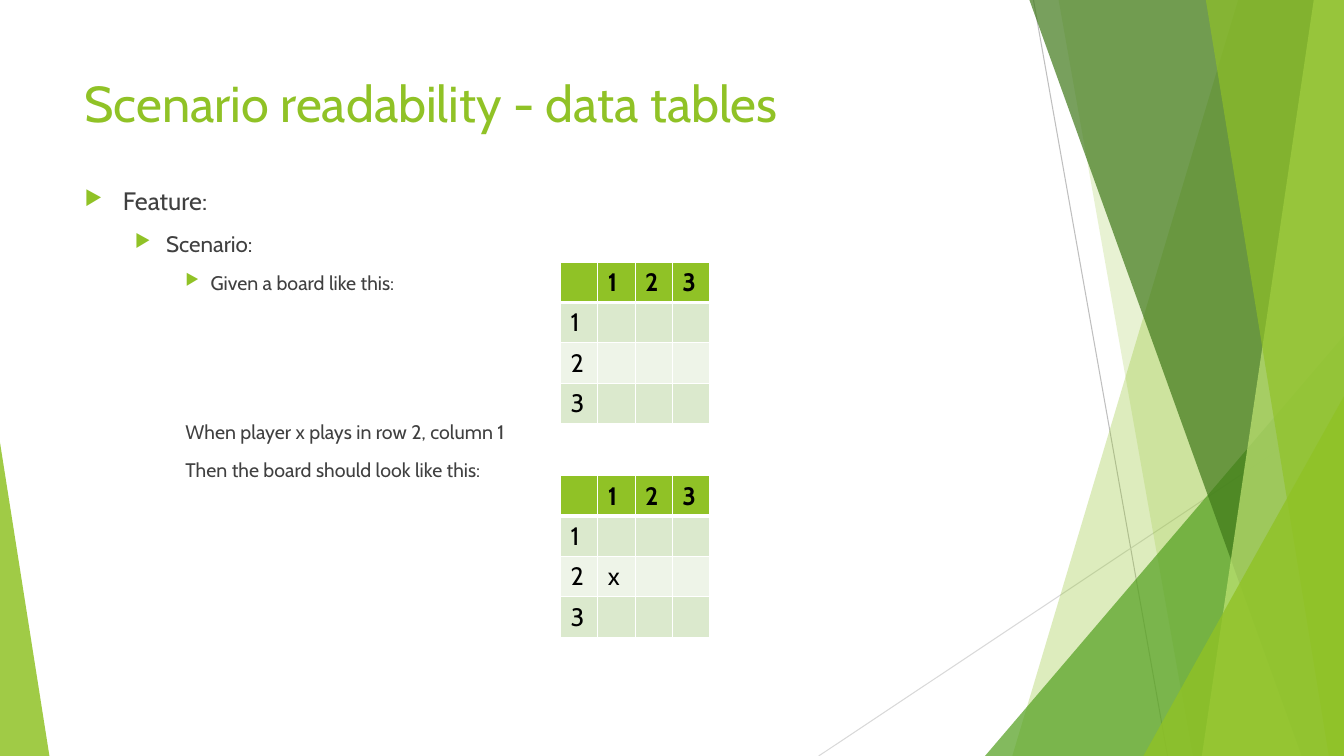
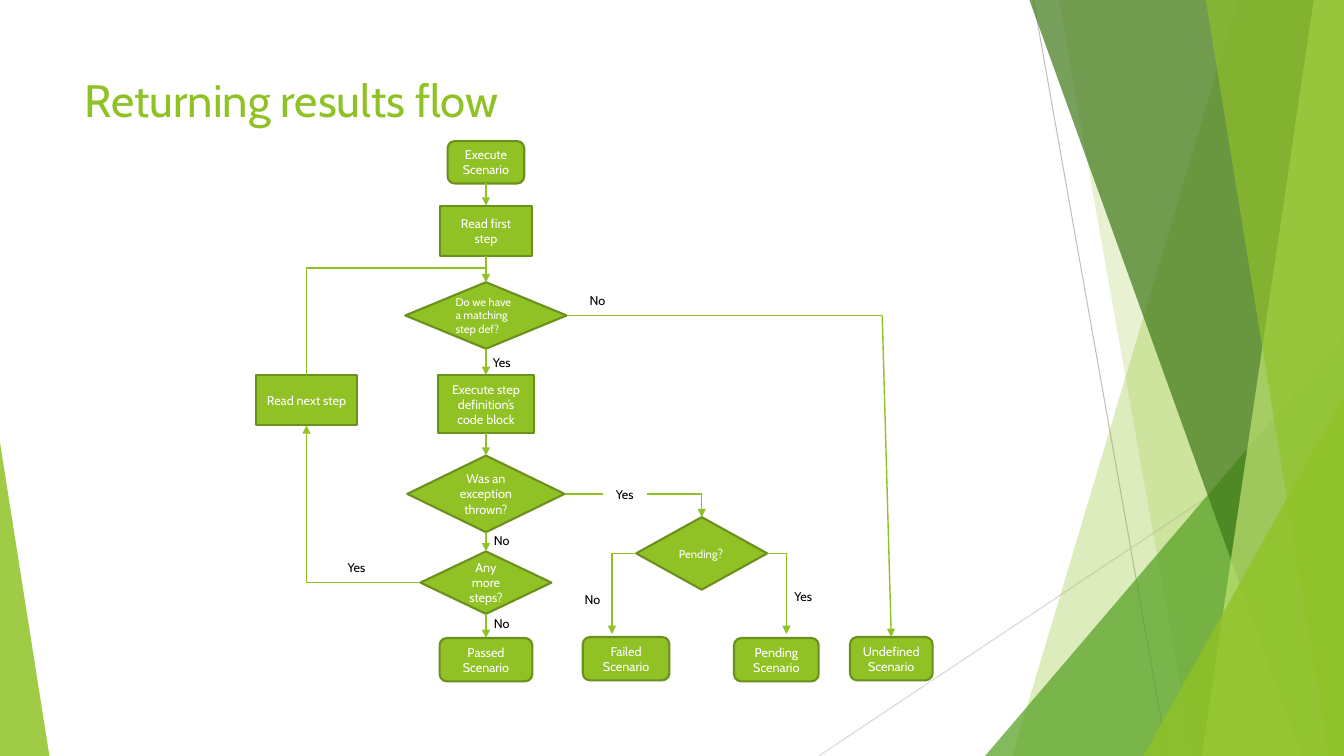
from itertools import pairwise
from lxml import etree
from pptx import Presentation
from pptx.dml.color import RGBColor
from pptx.enum.shapes import MSO_CONNECTOR, MSO_SHAPE
from pptx.enum.text import MSO_ANCHOR, PP_ALIGN
from pptx.oxml import parse_xml
from pptx.oxml.ns import nsdecls, qn
from pptx.util import Emu, Pt

LINE = MSO_CONNECTOR.STRAIGHT
RECT = MSO_SHAPE.RECTANGLE
ROUND = MSO_SHAPE.ROUNDED_RECTANGLE
GEM = MSO_SHAPE.DIAMOND
WEDGE = MSO_SHAPE.RIGHT_TRIANGLE
PEAK = MSO_SHAPE.ISOSCELES_TRIANGLE
LEFT, MID = PP_ALIGN.LEFT, PP_ALIGN.CENTER
CENTER = MSO_ANCHOR.MIDDLE

PX = 9144
WIDE, HIGH = 1333, 750
FONT = "Cabin"
HUES = {
    "lime": "90C226", "edge": "6B901C", "leaf": "54A021", "moss": "3F7819",
    "pale": "C0E474", "text": "404040", "black": "000000", "white": "FFFFFF",
    "gray": "BFBFBF", "mist": "D9D9D9", "odd": "DBE9CD", "even": "EEF4E8",
}

RAYS = [((1025, 0), (1158, HIGH), "gray"), ((WIDE, 403), (812, HIGH), "mist")]
DECOR = [
    ("panel", (1228, 1004), "lime", 30),
    ("panel", (1050, 1183), "lime", 20),
    ("peak", (977, 333, 356, 417, 1), "leaf", 72),
    ("panel", (1021, 1291), "moss", 70),
    ("panel", (1303, 1192), "pale", 70),
    ("panel", (1196, 1318), "lime", 65),
    ("peak", (1134, 393, 199, 357, 1), "lime", 80),
    ("peak", (0, 439, 49, 311, 0), "lime", 85),
]

STEPS = [
    ("Feature:", 0, 18, 38, 38, 10),
    ("Scenario:", 1, 16, 81, 31, 10),
    ("Given a board like this:", 2, 14, 125, 25, 10),
    ("When player x plays in row 2, column 1", 2, 14, 100, 0, 90),
    ("Then the board should look like this:", 2, 14, 100, 0, 10),
]
BOARDS = [(260, {}), (472, {(2, 1): "x"})]
MARKS = ["", "1", "2", "3"]

SPINE = 482
NODES = {
    "start": (ROUND, SPINE, 140, 76, 42, "Execute Scenario"),
    "first": (RECT, SPINE, 204, 92, 50, "Read first step"),
    "match": (GEM, SPINE, 280, 160, 66, "Do we have a matching step def?"),
    "run": (RECT, SPINE, 372, 96, 58, "Execute step definition’s code block"),
    "thrown": (GEM, SPINE, 452, 156, 76, "Was an exception thrown?"),
    "more": (GEM, SPINE, 547, 130, 62, "Any more steps?"),
    "passed": (ROUND, SPINE, 633, 92, 43, "Passed Scenario"),
    "failed": (ROUND, 621, 632, 86, 43, "Failed Scenario"),
    "pend": (ROUND, 770, 633, 84, 43, "Pending Scenario"),
    "undef": (ROUND, 884, 632, 82, 43, "Undefined Scenario"),
    "ask": (GEM, 696, 513, 130, 72, "Pending|?"),
    "next": (RECT, 304, 372, 100, 50, "Read next step"),
}
SMALL = {"match": [8], "ask": [8, 9]}
CHAIN = ["start", "first", "match", "run", "thrown", "more", "passed"]
ROUTES = [([(a, 2), (b, 0)], True) for a, b in pairwise(CHAIN)] + [
    ([("thrown", 3), (598, 490)], False),
    ([(642, 490), (696, 490), ("ask", 0)], True),
    ([("ask", 1), (607, 549), (607, 629)], True),
    ([("ask", 3), (780, 549), (780, 629)], True),
    ([("match", 3), (875, 313), ("undef", 0)], True),
    ([(SPINE, 266), (304, 266), ("next", 0)], False),
    ([("more", 1), (304, 578), ("next", 2)], True),
]
LABELS = [
    ("Yes", 479, 347), ("No", 480, 524), ("No", 480, 606), ("Yes", 601, 478),
    ("No", 570, 582), ("Yes", 778, 579), ("No", 575, 286), ("Yes", 335, 551),
]


def px(*nums):
    return [Emu(round(n * PX)) for n in nums]


def tint(hue):
    return RGBColor.from_string(HUES[hue])


def say(para, text, size, hue, bold=False):
    run = para.add_run()
    run.text = text
    font = run.font
    font.name, font.size, font.bold = FONT, Pt(size), bold
    font.color.rgb = tint(hue)


def paint(shape, hue, alpha=None):
    shape.shadow.inherit = False
    shape.fill.solid()
    shape.fill.fore_color.rgb = tint(hue)
    if alpha is None:
        return
    shape.line.fill.background()
    color = shape.element.spPr.find(qn("a:solidFill"))[0]
    etree.SubElement(color, qn("a:alpha"), val=str(alpha * 1000))


def link(slide, start, end, hue, width, arrow=False):
    line = slide.shapes.add_connector(LINE, *px(*start, *end))
    line.line.color.rgb = tint(hue)
    line.line.width = Pt(width)
    if arrow:
        etree.SubElement(line.line._get_or_add_ln(), qn("a:tailEnd"), type="triangle")
    etree.SubElement(line.element.spPr, qn("a:effectLst"))
    return line


def box(slide, *area):
    frame = slide.shapes.add_textbox(*px(*area)).text_frame
    frame.word_wrap = True
    return frame


def panel(slide, top, foot):
    form = slide.shapes.build_freeform(top, 0, PX)
    form.add_line_segments([(WIDE, 0), (WIDE, HIGH), (foot, HIGH)])
    return form.convert_to_shape()


def peak(slide, left, top, width, height, tip):
    shape = slide.shapes.add_shape(PEAK, *px(left, top, width, height))
    shape.adjustments[0] = tip
    return shape


def base(deck, title, size, height):
    slide = deck.slides.add_slide(deck.slide_layouts[6])
    for start, end, hue in RAYS:
        link(slide, start, end, hue, 0.75)
    for kind, args, hue, alpha in DECOR:
        make = panel if kind == "panel" else peak
        paint(make(slide, *args), hue, alpha)
    frame = box(slide, 74, 67, 940, height)
    say(frame.paragraphs[0], title, size, "lime")
    return slide


def bullet(props):
    color = etree.SubElement(props, qn("a:buClr"))
    etree.SubElement(color, qn("a:srgbClr"), val=HUES["lime"])
    etree.SubElement(props, qn("a:buSzPct"), val="80000")
    etree.SubElement(props, qn("a:buChar"), char="▶")


def outline(slide):
    frame = box(slide, 74, 179, 940, 481)
    for i, (text, level, size, left, hang, gap) in enumerate(STEPS):
        para = frame.add_paragraph() if i else frame.paragraphs[0]
        para.level = level
        para.space_before = Pt(gap)
        props = para._p.get_or_add_pPr()
        props.set("marL", str(left * PX))
        props.set("indent", str(-hang * PX))
        if hang:
            bullet(props)
        say(para, text, size, "text")


def border(cell, row):
    props = cell._tc.get_or_add_tcPr()
    widths = {"L": 1, "R": 1, "T": 3 if row == 1 else 1, "B": 1 if row else 3}
    for i, (side, width) in enumerate(widths.items()):
        props.insert(i, parse_xml(
            f'<a:ln{side} {nsdecls("a")} w="{Pt(width)}"><a:solidFill>'
            f'<a:srgbClr val="{HUES["white"]}"/></a:solidFill></a:ln{side}>'))


def board(slide, top, moves):
    count = len(MARKS)
    table = slide.shapes.add_table(count, count, *px(556, top, 148, 160)).table
    for i in range(count):
        table.columns[i].width, table.rows[i].height = px(37, 40)
    for row in range(count):
        for col in range(count):
            cell = table.cell(row, col)
            hue = "lime" if row == 0 else "odd" if row % 2 else "even"
            cell.fill.solid()
            cell.fill.fore_color.rgb = tint(hue)
            border(cell, row)
            text = moves.get((row, col), "" if row and col else MARKS[row + col])
            if text:
                say(cell.text_frame.paragraphs[0], text, 18, "black", row == 0)


def node(slide, name):
    kind, mid, top, width, height, text = NODES[name]
    area = px(mid - width // 2, top, width, height)
    shape = slide.shapes.add_shape(kind, *area)
    paint(shape, "lime")
    shape.line.color.rgb = tint("edge")
    shape.line.width = Pt(1.5)
    frame = shape.text_frame
    frame.word_wrap = True
    frame.vertical_anchor = CENTER
    para = frame.paragraphs[0]
    para.alignment = LEFT if name in SMALL else MID
    for part, size in zip(text.split("|"), SMALL.get(name, [9])):
        say(para, part, size, "white")
    return shape


def spot(stop):
    if stop[0] not in NODES:
        return stop
    name, side = stop
    mid, top, width, height = NODES[name][1:5]
    return [(mid, top), (mid - width / 2, top + height / 2),
            (mid, top + height), (mid + width / 2, top + height / 2)][side]


def flow(slide):
    shapes = {name: node(slide, name) for name in NODES}
    for stops, arrow in ROUTES:
        for start, end in pairwise(stops):
            head = arrow and end is stops[-1]
            line = link(slide, spot(start), spot(end), "lime", 1, head)
            if start[0] in shapes:
                line.begin_connect(shapes[start[0]], start[1])
            if end[0] in shapes:
                line.end_connect(shapes[end[0]], end[1])
    for text, left, top in LABELS:
        say(box(slide, left, top, 43, 25).paragraphs[0], text, 9, "black")


def main():
    deck = Presentation()
    deck.slide_width, deck.slide_height = px(WIDE, HIGH)
    slide = base(deck, "Scenario readability - data tables", 36, 101)
    outline(slide)
    for top, moves in BOARDS:
        board(slide, top, moves)
    flow(base(deck, "Returning results flow", 32.4, 67))
    deck.save("out.pptx")


if __name__ == "__main__":
    main()
